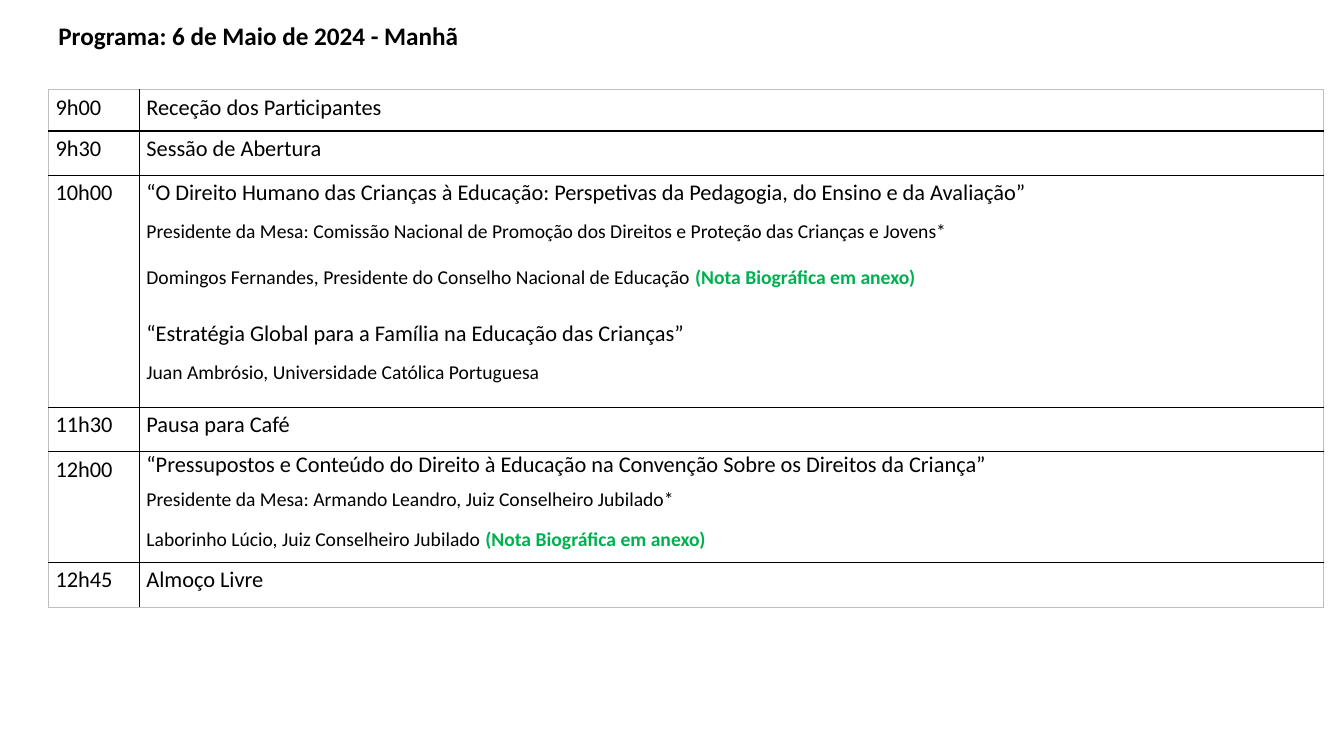
from lxml import etree
from pptx import Presentation
from pptx.dml.color import RGBColor
from pptx.enum import text
from pptx.oxml import ns
from pptx.util import Cm, Pt

COLORS = {"text": "000000", "note": "00B050", "rule": "000000", "frame": "BFBFBF"}
FONT = "Calibri"
NOTE = "(Nota Biográfica em anexo)"
COLUMN_WIDTHS = (2.29, 29.85)

# Each session paragraph: (text, size, space before, followed by the note)
# Each row: (height, time, line spacing, session paragraphs)
PROGRAMME = [
    (1.04, "9h00", 1.15, [("Receção dos Participantes", 16, 0, False)]),
    (1.12, "9h30", 1.15, [("Sessão de Abertura", 16, 0, False)]),
    (5.84, "10h00", 1.15, [
        ("“O Direito Humano das Crianças à Educação: Perspetivas da Pedagogia, "
         "do Ensino e da Avaliação”", 16, 0, False),
        ("Presidente da Mesa: Comissão Nacional de Promoção dos Direitos e "
         "Proteção das Crianças e Jovens*", 14, 7, False),
        ("Domingos Fernandes, Presidente do Conselho Nacional de Educação ", 14, 13, True),
        ("“Estratégia Global para a Família na Educação das Crianças”", 16, 19, False),
        ("Juan Ambrósio, Universidade Católica Portuguesa", 14, 7, False),
    ]),
    (1.12, "11h30", 1.15, [("Pausa para Café", 16, 0, False)]),
    (2.79, "12h00", 1.0, [
        ("“Pressupostos e Conteúdo do Direito à Educação na Convenção Sobre os "
         "Direitos da Criança”", 16, 0, False),
        ("Presidente da Mesa: Armando Leandro, Juiz Conselheiro Jubilado*", 14, 6, False),
        ("Laborinho Lúcio, Juiz Conselheiro Jubilado ", 14, 12, True),
    ]),
    (1.14, "12h45", 1.15, [("Almoço Livre", 16, 0, False)]),
]


def set_all(target, formats):
    for name, value in formats.items():
        setattr(target, name, value)


def add_run(paragraph, words, size, color="text", bold=False):
    run = paragraph.add_run()
    run.text = words
    set_all(run.font, {"name": FONT, "size": Pt(size), "bold": bold})
    run.font.color.rgb = RGBColor.from_string(COLORS[color])


def set_borders(cell, outer_sides):
    """Draw a thin frame on the outer sides and black rules on the others."""
    properties = cell._tc.get_or_add_tcPr()
    for position, side in enumerate("LRTB"):
        width, color = (0.5, "frame") if side in outer_sides else (1, "rule")
        line = etree.Element(ns.qn(f"a:ln{side}"), w=str(Pt(width)))
        fill = etree.SubElement(line, ns.qn("a:solidFill"))
        etree.SubElement(fill, ns.qn("a:srgbClr"), val=COLORS[color])
        properties.insert(position, line)


def fill_cell(cell, paragraphs, line_spacing):
    set_all(cell, {"margin_left": Cm(0.18), "margin_right": Cm(0.18),
                   "margin_top": 0, "margin_bottom": 0,
                   "vertical_anchor": text.MSO_ANCHOR.TOP})
    cell.fill.background()
    frame = cell.text_frame
    alignment = text.PP_ALIGN.JUSTIFY if line_spacing > 1 else text.PP_ALIGN.LEFT
    for index, (words, size, before, has_note) in enumerate(paragraphs):
        paragraph = frame.add_paragraph() if index else frame.paragraphs[0]
        set_all(paragraph, {"alignment": alignment, "line_spacing": line_spacing,
                            "space_before": Pt(before)})
        add_run(paragraph, words, size)
        if has_note:
            add_run(paragraph, NOTE, size, "note", True)


def add_title(slide, left, top, width, height):
    box = slide.shapes.add_textbox(Cm(left), Cm(top), Cm(width), Cm(height))
    box.text_frame.word_wrap = True
    add_run(box.text_frame.paragraphs[0], "Programa: 6 de Maio de 2024 - Manhã", 18, bold=True)


def add_programme(slide, left, top):
    heights = [row[0] for row in PROGRAMME]
    table = slide.shapes.add_table(
        len(PROGRAMME), len(COLUMN_WIDTHS), Cm(left), Cm(top),
        Cm(sum(COLUMN_WIDTHS)), Cm(sum(heights))).table
    set_all(table, {"first_row": False, "horz_banding": False})
    for column, width in zip(table.columns, COLUMN_WIDTHS):
        column.width = Cm(width)
    last = len(PROGRAMME) - 1
    for index, (height, time, spacing, session) in enumerate(PROGRAMME):
        table.rows[index].height = Cm(height)
        time_cell, session_cell = table.rows[index].cells
        fill_cell(time_cell, [(time, 16, 0, False)], 1.15)
        fill_cell(session_cell, session, spacing)
        edges = ("T" if index == 0 else "") + ("B" if index == last else "")
        set_borders(time_cell, "L" + edges)
        set_borders(session_cell, "R" + edges)


def main():
    presentation = Presentation()
    set_all(presentation, {"slide_width": Cm(33.87), "slide_height": Cm(19.05)})
    slide = presentation.slides.add_slide(presentation.slide_layouts[6])
    add_title(slide, 1.22, 0.38, 17.78, 1.02)
    add_programme(slide, 1.22, 2.26)
    presentation.save("out.pptx")


if __name__ == "__main__":
    main()
